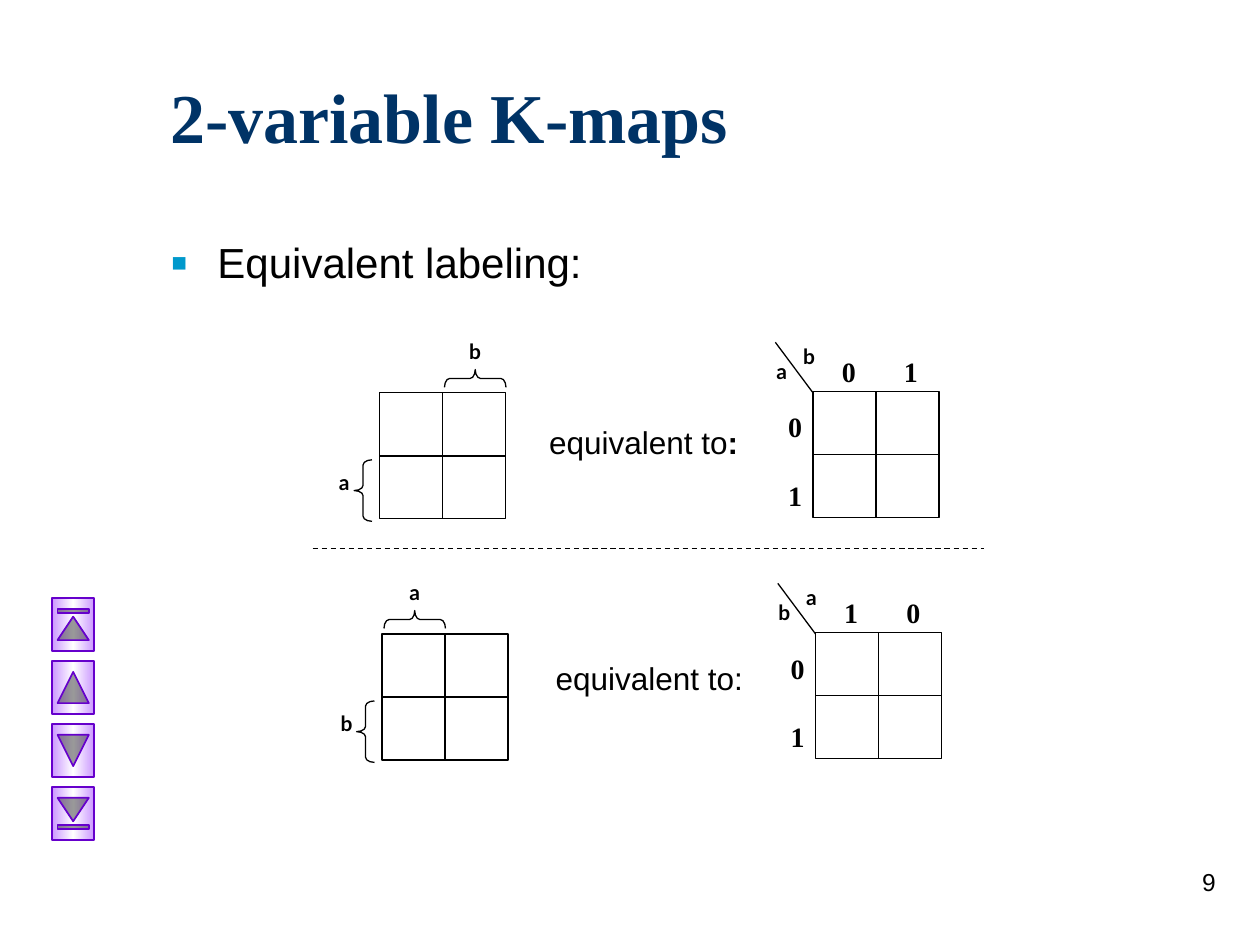
from dataclasses import dataclass

from lxml import etree
from pptx import Presentation
from pptx.dml.color import RGBColor
from pptx.enum.dml import MSO_LINE
from pptx.enum.shapes import MSO_CONNECTOR, MSO_SHAPE
from pptx.enum.text import MSO_ANCHOR, MSO_AUTO_SIZE, PP_ALIGN
from pptx.oxml import parse_xml
from pptx.oxml.ns import nsdecls, qn
from pptx.util import Cm, Pt

BLACK = RGBColor(0x00, 0x00, 0x00)
NAVY = RGBColor(0x00, 0x33, 0x66)
BULLET_BLUE = RGBColor(0x00, 0x99, 0xCC)
VIOLET = RGBColor(0x66, 0x00, 0xCC)
LILAC = RGBColor(0xCC, 0x99, 0xFF)
WHITE = RGBColor(0xFF, 0xFF, 0xFF)

CELL = 1.27
ROW_LABELS = ["0", "1"]
BUTTONS = [
    MSO_SHAPE.ACTION_BUTTON_BEGINNING,
    MSO_SHAPE.ACTION_BUTTON_BACK_OR_PREVIOUS,
    MSO_SHAPE.ACTION_BUTTON_FORWARD_OR_NEXT,
    MSO_SHAPE.ACTION_BUTTON_END,
]


@dataclass
class Style:
    size: float
    font: str
    bold: bool = False
    color: RGBColor = BLACK
    align: PP_ALIGN = PP_ALIGN.LEFT


@dataclass
class Equivalence:
    """One braced map and the numbered map it equals; lengths in cm."""
    x: float
    y: float
    row_var: str
    col_var: str
    braced_col: int
    col_digits: str
    phrase_x: float
    phrase_y: float
    colon_bold: bool


TITLE = Style(40, "Times New Roman", True, NAVY)
BODY = Style(24, "Arial")
PHRASE = Style(18, "Arial")
VARIABLE = Style(12, "Lato", True, align=PP_ALIGN.CENTER)
COL_DIGITS = Style(16, "Times New Roman", True)
ROW_DIGITS = Style(16, "Times New Roman", True, align=PP_ALIGN.RIGHT)
PAGE_NUMBER = Style(14, "Arial", align=PP_ALIGN.RIGHT)

EQUIVALENCES = [
    Equivalence(7.65, 7.92, "a", "b", 1, "0\t1", 10.82, 8.41, True),
    Equivalence(7.7, 12.78, "b", "a", 0, "1\t0", 10.95, 13.16, False),
]


def apply_style(paragraph, style: Style) -> None:
    paragraph.alignment = style.align
    for run in paragraph.runs:
        run.font.size = Pt(style.size)
        run.font.name = style.font
        run.font.bold = style.bold
        run.font.color.rgb = style.color


def add_text(slide, text: str, x: float, y: float, w: float, h: float, style: Style):
    frame = slide.shapes.add_textbox(Cm(x), Cm(y), Cm(w), Cm(h)).text_frame
    frame.word_wrap = True
    frame.text = text
    for paragraph in frame.paragraphs:
        apply_style(paragraph, style)
    return frame


def add_line(slide, x1: float, y1: float, x2: float, y2: float):
    line = slide.shapes.add_connector(
        MSO_CONNECTOR.STRAIGHT, Cm(x1), Cm(y1), Cm(x2), Cm(y2))
    line.line.color.rgb = BLACK
    line.line.width = Pt(0.75)
    etree.SubElement(line._element.spPr, qn("a:effectLst"))
    return line


def add_outline(slide, preset: MSO_SHAPE, x: float, y: float, w: float, h: float):
    shape = slide.shapes.add_shape(preset, Cm(x), Cm(y), Cm(w), Cm(h))
    shape.shadow.inherit = False
    shape.fill.background()
    shape.line.color.rgb = BLACK
    shape.line.width = Pt(0.75)
    return shape


def add_grid(slide, x: float, y: float) -> None:
    side = 2 * CELL
    add_outline(slide, MSO_SHAPE.RECTANGLE, x, y, side, side)
    add_line(slide, x, y + CELL, x + side, y + CELL)
    add_line(slide, x + CELL, y, x + CELL, y + side)


def add_brace(slide, x: float, y: float, rotation: int = 0) -> None:
    brace = add_outline(slide, MSO_SHAPE.LEFT_BRACE, x, y, 0.36, 1.24)
    brace.adjustments[0] = 0.29
    brace.rotation = rotation


def add_braced_map(slide, pair: Equivalence) -> None:
    x, y = pair.x, pair.y
    col_x = x + pair.braced_col * CELL
    add_grid(slide, x, y)
    add_text(slide, pair.row_var, x - 1.27, y + 1.42, 1.12, 1.02, VARIABLE)
    add_brace(slide, x - 0.51, y + 1.35)
    add_brace(slide, col_x + 0.48, y - 0.91, 90)
    add_text(slide, pair.col_var, col_x + 0.1, y - 1.22, 1.12, 0.81, VARIABLE)


def add_numbered_map(slide, pair: Equivalence) -> None:
    x, y = pair.x + 8.74, pair.y - 0.03
    add_grid(slide, x, y)
    add_text(slide, pair.row_var, x - 1.19, y - 0.79, 1.12, 1.02, VARIABLE)
    add_text(slide, pair.col_var, x - 0.64, y - 1.09, 1.12, 0.81, VARIABLE)
    add_line(slide, x, y + 0.03, x - 0.76, y - 0.99)

    columns = add_text(slide, pair.col_digits, x + 0.33, y - 0.86, 2.57, 0.99, COL_DIGITS)
    tabs = etree.SubElement(columns.paragraphs[0]._p.get_or_add_pPr(), qn("a:tabLst"))
    etree.SubElement(tabs, qn("a:tab"), pos=str(Cm(1.25)), algn="l")

    rows = add_text(slide, "\n".join(ROW_LABELS), x - 1.09, y + 0.25, 1.12, 2.16, ROW_DIGITS)
    rows.paragraphs[1].space_before = Pt(20)


def add_phrase(slide, pair: Equivalence) -> None:
    frame = add_text(slide, "equivalent to", pair.phrase_x, pair.phrase_y, 4.57, 1.02, PHRASE)
    paragraph = frame.paragraphs[0]
    colon = paragraph.add_run()
    colon.text = ":"
    apply_style(paragraph, PHRASE)
    colon.font.bold = pair.colon_bold


def add_button(slide, preset: MSO_SHAPE, y: float) -> None:
    button = add_outline(slide, preset, 0.94, y, 1.07, 0.84)
    button.rotation = 90
    button.line.color.rgb = VIOLET
    button.line.width = Pt(1)
    stops = "".join(
        f'<a:gs pos="{position}"><a:srgbClr val="{color}"/></a:gs>'
        for position, color in [(0, LILAC), (50000, WHITE), (100000, LILAC)])
    gradient = parse_xml(
        f'<a:gradFill {nsdecls("a")} rotWithShape="1"><a:gsLst>{stops}</a:gsLst>'
        '<a:lin ang="5400000" scaled="0"/></a:gradFill>')
    properties = button._element.spPr
    properties.replace(properties.find(qn("a:noFill")), gradient)


def fill_placeholder(holder, text: str, y: float, h: float, style: Style):
    holder.left, holder.top, holder.width, holder.height = Cm(3.18), Cm(y), Cm(21.59), Cm(h)
    frame = holder.text_frame
    frame.text = text
    frame.auto_size = MSO_AUTO_SIZE.NONE
    paragraph = frame.paragraphs[0]
    paragraph.space_before = Pt(0)
    apply_style(paragraph, style)
    return frame


def add_square_bullet(paragraph) -> None:
    properties = paragraph._p.get_or_add_pPr()
    properties.set("marL", str(Cm(0.95)))
    properties.set("indent", str(-Cm(0.95)))
    color = etree.SubElement(properties, qn("a:buClr"))
    etree.SubElement(color, qn("a:srgbClr"), val=str(BULLET_BLUE))
    etree.SubElement(properties, qn("a:buSzPct"), val="120000")
    etree.SubElement(properties, qn("a:buChar"), char="▪")


def main() -> None:
    deck = Presentation()
    deck.slide_width, deck.slide_height = Cm(25.4), Cm(19.05)
    slide = deck.slides.add_slide(deck.slide_layouts[1])

    heading = fill_placeholder(slide.shapes.title, "2-variable K-maps", 1.27, 2.11, TITLE)
    heading.vertical_anchor = MSO_ANCHOR.MIDDLE
    topic = fill_placeholder(slide.placeholders[1], "Equivalent labeling:", 4.65, 1.47, BODY)
    add_square_bullet(topic.paragraphs[0])

    for pair in EQUIVALENCES:
        add_braced_map(slide, pair)
        add_phrase(slide, pair)
        add_numbered_map(slide, pair)
    divider = add_line(slide, 6.3, 11.05, 19.84, 11.05)
    divider.line.dash_style = MSO_LINE.DASH

    for index, preset in enumerate(BUTTONS):
        add_button(slide, preset, 12.17 + index * 1.27)
    add_text(slide, "9", 19.48, 17.35, 5.28, 1.27, PAGE_NUMBER)
    deck.save("out.pptx")


if __name__ == "__main__":
    main()
